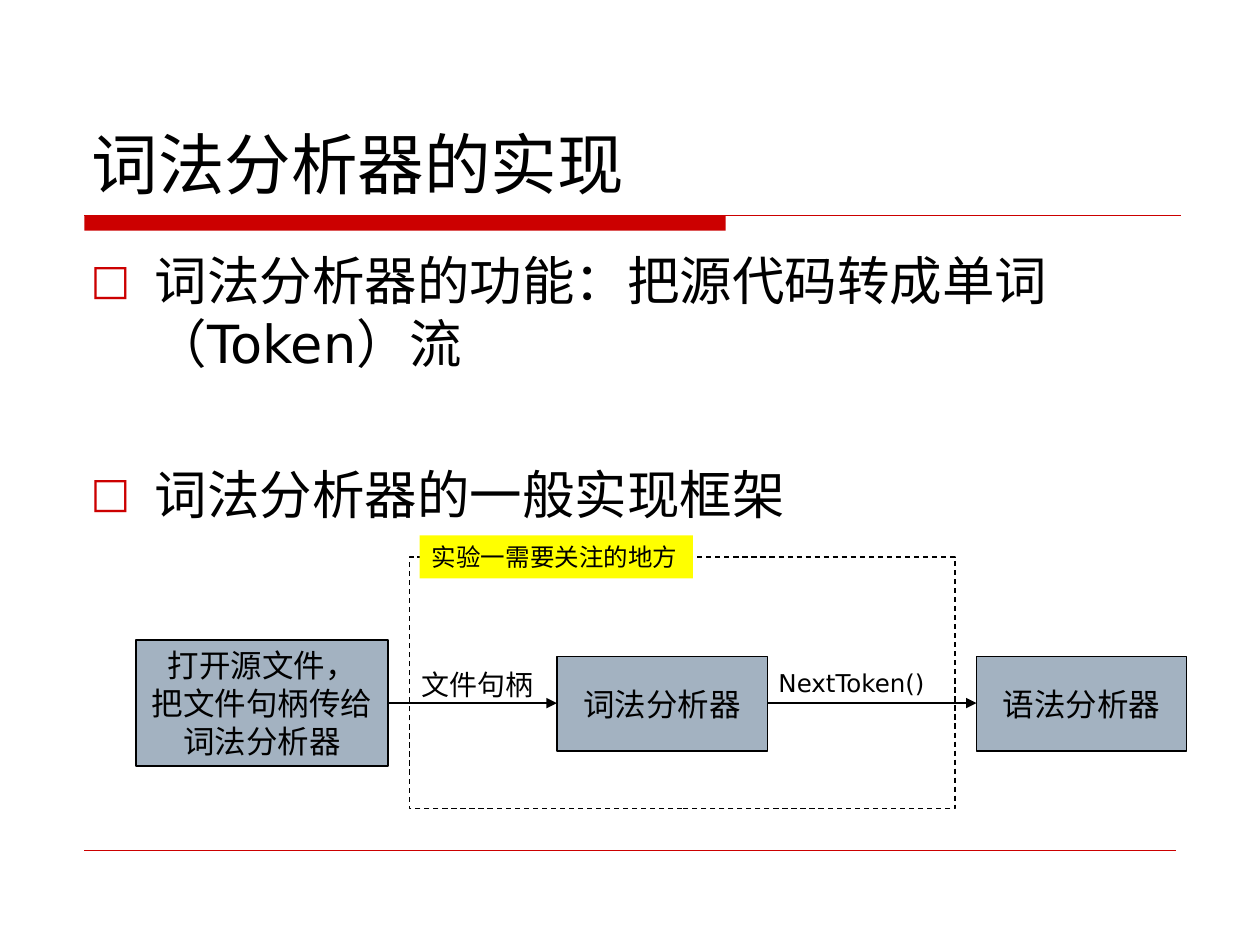
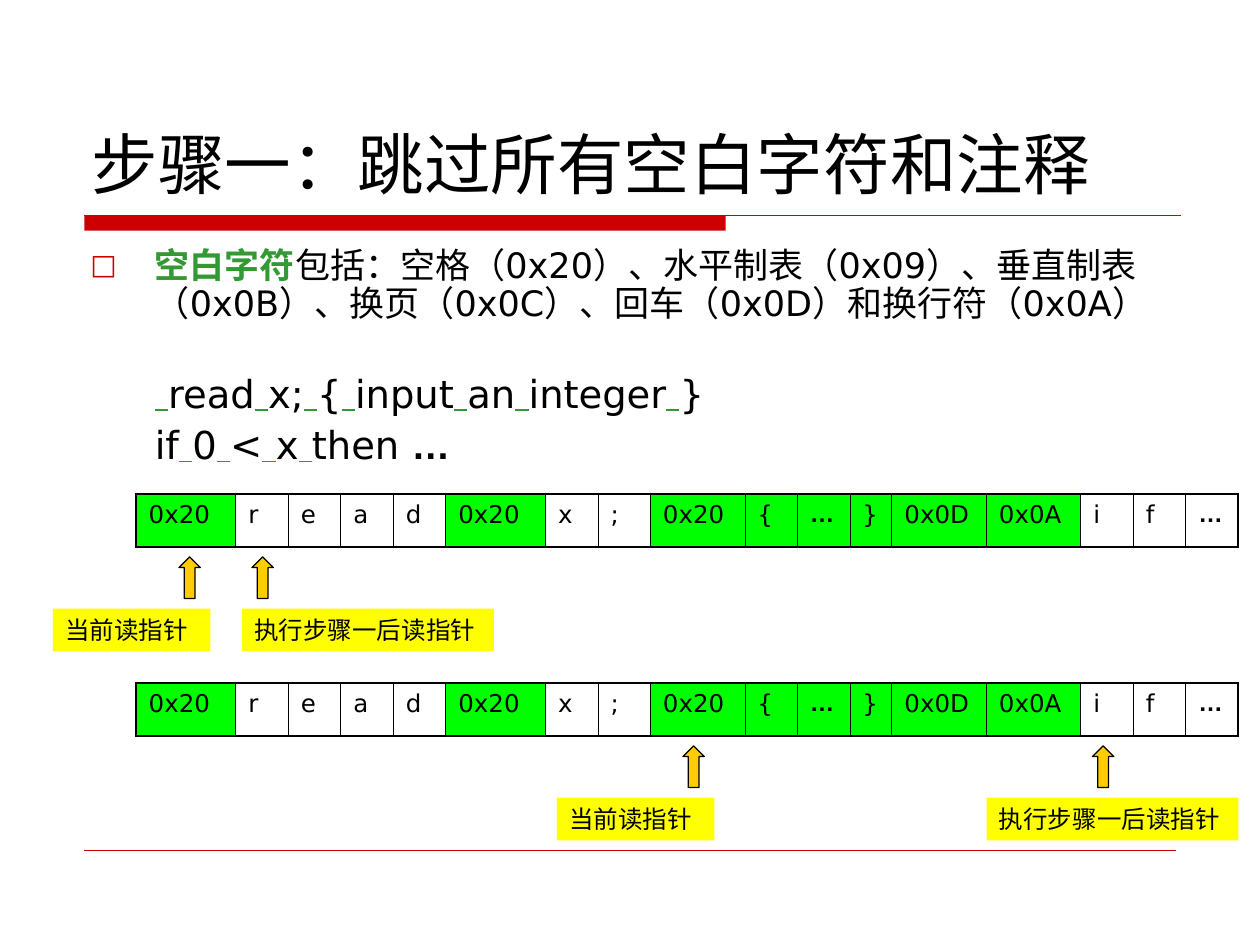
import itertools

import pptx
import pptx.dml.color
import pptx.enum.dml
import pptx.enum.shapes
import pptx.enum.text
import pptx.oxml
import pptx.oxml.ns
import pptx.util

Inches, Pt = pptx.util.Inches, pptx.util.Pt
RGB = pptx.dml.color.RGBColor.from_string
SHAPE = pptx.enum.shapes.MSO_SHAPE
ANCHOR = pptx.enum.text.MSO_ANCHOR
ALIGN = pptx.enum.text.PP_ALIGN
NS = pptx.oxml.ns.nsdecls("a")

FONT = "DejaVu Sans"
INK = {
    "text": "000000",
    "red": "CC0000",
    "green": "339933",
    "node": "A3B2C1",
    "note": "FFFF00",
    "arrow": "FFCC00",
    "skip": "00FF00",
}


def write(frame, paras, size=14, align=ALIGN.LEFT, anchor=ANCHOR.TOP, wrap=True,
          indent=0, bullets=(), gaps=None, leading=None, lead=""):
    """Fill a frame; "_" marks an underlined space, lead is a bold green opening."""
    frame.word_wrap = wrap
    frame.vertical_anchor = anchor
    for i, words in enumerate(paras):
        para = frame.paragraphs[0] if i == 0 else frame.add_paragraph()
        para.alignment = align
        if gaps and gaps[i]:
            para.space_before = Pt(gaps[i])
        if leading:
            para.line_spacing = leading
        props = para._p.get_or_add_pPr()
        if indent:
            props.set("marL", str(Inches(indent)))
            props.set("indent", str(-Inches(indent) if i in bullets else 0))
        if i in bullets:
            for tag in (f'<a:buClr {NS}><a:srgbClr val="{INK["red"]}"/></a:buClr>',
                        f'<a:buSzPct {NS} val="80000"/>',
                        f'<a:buFont {NS} typeface="{FONT}"/>',
                        f'<a:buChar {NS} char="□"/>'):
                props.append(pptx.oxml.parse_xml(tag))
        parts = [("lead", lead)] if lead and i == 0 else []
        for kind, chars in itertools.groupby(words, lambda c: c if c in "_…" else ""):
            parts.append((kind, "".join(chars).replace("_", " ")))
        for kind, part in parts:
            run = para.add_run()
            run.text = part
            font = run.font
            font.size = Pt(size)
            font.bold = kind != ""
            font.underline = kind == "_"
            font.color.rgb = RGB(INK["green" if kind in ("_", "lead") else "text"])
            font.name = "Arial" if kind == "…" else FONT
            run._r.get_or_add_rPr().append(
                pptx.oxml.parse_xml(f'<a:ea {NS} typeface="{font.name}"/>'))


def block(slide, box, fill=None, edge=None, kind=SHAPE.RECTANGLE):
    """Add a preset shape and return it."""
    shape = slide.shapes.add_shape(kind, *map(Inches, box))
    shape.shadow.inherit = False
    if fill:
        shape.fill.solid()
        shape.fill.fore_color.rgb = RGB(INK[fill])
    else:
        shape.fill.background()
    if edge:
        shape.line.color.rgb = RGB(INK[edge])
        shape.line.width = Pt(0.75)
    else:
        shape.line.fill.background()
    return shape


deck = pptx.Presentation()
deck.slide_width, deck.slide_height = Inches(10), Inches(7.5)

# Shared title and red band
pages = []
for title in ("词法分析器的实现", "步骤一：跳过所有空白字符和注释"):
    page = deck.slides.add_slide(deck.slide_layouts[6])
    block(page, (0.67, 1.71, 5.09, 0.12), "red")
    head = page.shapes.add_textbox(*map(Inches, (0.63, 0.33, 8.75, 1.33)))
    write(head.text_frame, [title], size=38, anchor=ANCHOR.BOTTOM)
    pages.append(page)
frame, step = pages

# Lines: page, ends, colour, width, arrowhead
lines = [
    (frame, (3.08, 5.58, 4.42, 5.58), "text", 0.75, True),
    (frame, (6.08, 5.58, 7.75, 5.58), "text", 0.75, True),
]
for page in pages:
    lines.append((page, (0.67, 1.71, 9.37, 1.71), "red", 0.75, False))
    lines.append((page, (0.67, 6.75, 9.33, 6.75), "red", 0.25, False))
for page, ends, ink, width, tip in lines:
    line = page.shapes.add_connector(
        pptx.enum.shapes.MSO_CONNECTOR.STRAIGHT, *map(Inches, ends))
    line.line.color.rgb = RGB(INK[ink])
    line.line.width = Pt(width)
    if tip:
        line.line._get_or_add_ln().append(
            pptx.oxml.parse_xml(f'<a:tailEnd {NS} type="triangle"/>'))
    line._element.spPr.append(pptx.oxml.parse_xml(f"<a:effectLst {NS}/>"))

# Slide 1: bullets
body = frame.shapes.add_textbox(*map(Inches, (0.62, 1.92, 8.75, 4.67)))
write(body.text_frame,
      ["词法分析器的功能：把源代码转成单词（Token）流", "词法分析器的一般实现框架"],
      size=30, indent=0.51, bullets=(0, 1), gaps=(0, 50))

# Slide 1: scope of the lab and flow
scope = block(frame, (3.25, 4.42, 4.33, 2), edge="text")
scope.line.dash_style = pptx.enum.dml.MSO_LINE.DASH
nodes = [
    ((1.08, 5.08, 2, 1), ["打开源文件，", "把文件句柄传给", "词法分析器"]),
    ((4.42, 5.21, 1.67, 0.75), ["词法分析器"]),
    ((7.75, 5.21, 1.67, 0.75), ["语法分析器"]),
]
for box, words in nodes:
    node = block(frame, box, "node", "text")
    write(node.text_frame, words, size=18, align=ALIGN.CENTER,
          anchor=ANCHOR.MIDDLE, wrap=False)
for box, words, size in (((3.25, 5.25, 1.17, 0.37), "文件句柄", 16),
                         ((6.08, 5.25, 1.5, 0.34), "NextToken()", 14)):
    label = frame.shapes.add_textbox(*map(Inches, box))
    write(label.text_frame, [words], size=size)
note = block(frame, (3.33, 4.25, 2.17, 0.34), "note")
write(note.text_frame, ["实验一需要关注的地方"])

# Slide 2: blank characters and sample code
body = step.shapes.add_textbox(*map(Inches, (0.62, 1.92, 9.13, 1.0)))
write(body.text_frame,
      ["包括：空格（0x20）、水平制表（0x09）、垂直制表（0x0B）、"
       "换页（0x0C）、回车（0x0D）和换行符（0x0A）"],
      size=20, indent=0.51, bullets=(0,), leading=0.9, lead="空白字符")
code = step.shapes.add_textbox(*map(Inches, (1.13, 2.93, 8.62, 0.95)))
write(code.text_frame,
      ["_read_x;_{_input_an_integer_}", "if_0_<_x_then …"],
      size=22, gaps=(0, 5.5), leading=0.9)

# Slide 2: buffer before and after, column widths in twelfths of an inch
chars = "0x20 r e a d 0x20 x ; 0x20 { … } 0x0D 0x0A i f …".split()
units = [9.5, 5, 5, 5, 5, 9.5, 5, 5, 9, 5, 5, 4, 9, 9, 5, 5, 5]
skips = {0, 5, *range(8, 14)}
last = len(chars) - 1
# Top of the row, then (arrow left, note left) for the old and new pointer
tracks = [
    (3.92, (1.42, 0.42), (2, 1.92)),
    (5.42, (5.42, 4.42), (8.67, 7.83)),
]
for top, old, new in tracks:
    grid = step.shapes.add_table(
        1, len(chars), *map(Inches, (1.08, top, 8.75, 0.42))).table
    grid.first_row = grid.horz_banding = False
    for i, (char, unit) in enumerate(zip(chars, units)):
        grid.columns[i].width = Inches(unit / 12)
        cell = grid.cell(0, i)
        write(cell.text_frame, [char])
        props = cell._tc.get_or_add_tcPr()
        edges = {"L": i == 0, "R": i == last, "T": True, "B": True}
        for side, outer in edges.items():
            props.append(pptx.oxml.parse_xml(
                f'<a:ln{side} {NS} w="{Pt(1.08 if outer else 0.45)}"><a:solidFill>'
                f'<a:srgbClr val="{INK["text"]}"/></a:solidFill></a:ln{side}>'))
        if i in skips:
            cell.fill.solid()
            cell.fill.fore_color.rgb = RGB(INK["skip"])
        else:
            cell.fill.background()
    for (tip, left), wide, words in ((old, 1.25, "当前读指针"),
                                     (new, 2, "执行步骤一后读指针")):
        block(step, (tip, top + 0.5, 0.17, 0.33), "arrow", "text", SHAPE.UP_ARROW)
        note = block(step, (left, top + 0.91, wide, 0.34), "note")
        write(note.text_frame, [words])

deck.save("out.pptx")
